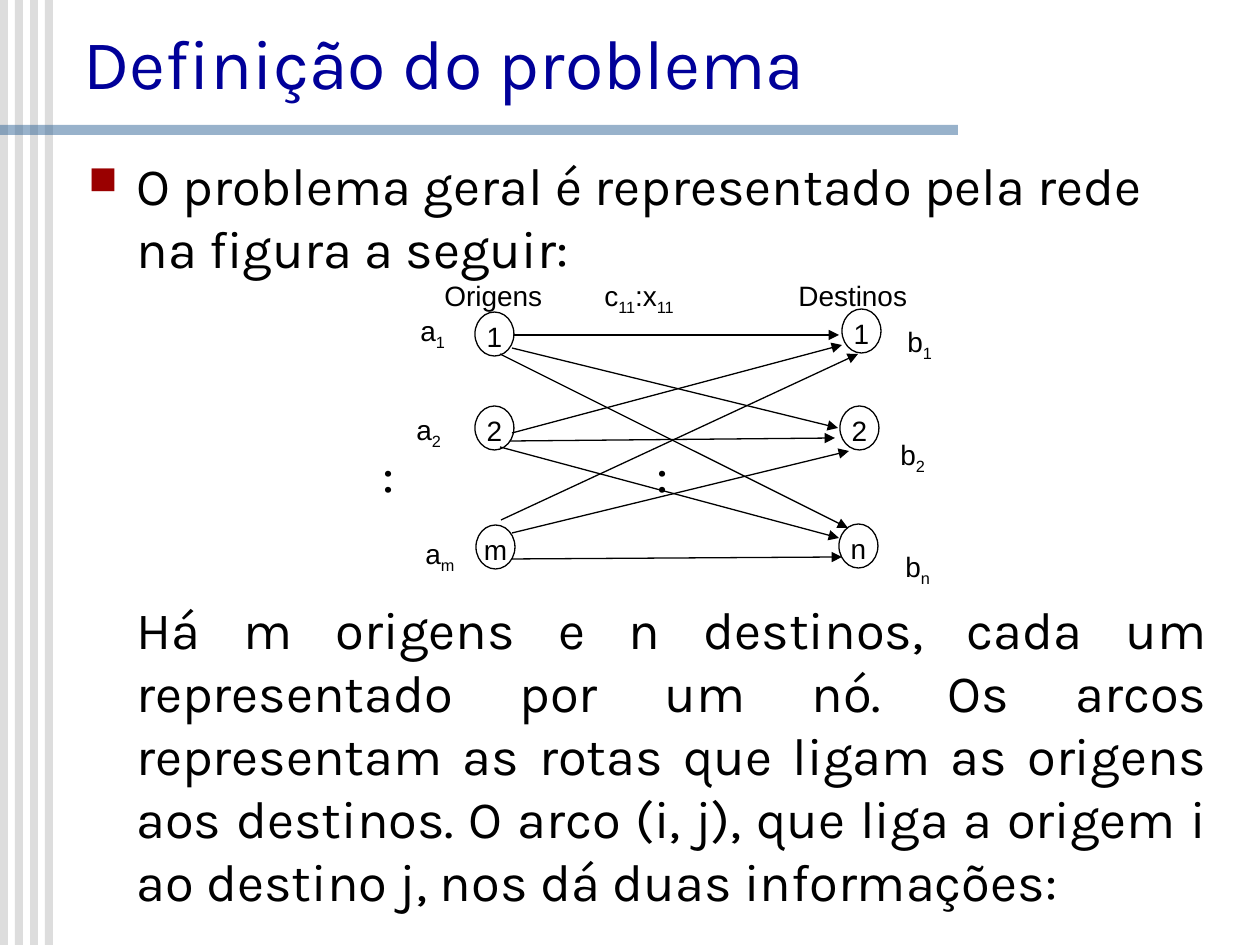
from dataclasses import dataclass

from lxml.etree import SubElement
from pptx import Presentation
from pptx.dml.color import RGBColor as RGB
from pptx.enum.shapes import MSO_CONNECTOR as CONN, MSO_SHAPE as SHAPE
from pptx.enum.text import MSO_ANCHOR as ANCHOR, PP_ALIGN as ALIGN
from pptx.oxml.ns import qn
from pptx.util import Emu, Pt

SCALE = 914400 / 126


@dataclass(frozen=True)
class Theme:
    heading: str = "Karla"
    label: str = "Arial"
    title_pt: int = 40
    body_pt: int = 30
    label_pt: int = 16
    line_pt: float = 0.75
    title: RGB = RGB(0x00, 0x00, 0x99)
    ink: RGB = RGB(0x00, 0x00, 0x00)
    paper: RGB = RGB(0xFF, 0xFF, 0xFF)
    stripe: RGB = RGB(0xDD, 0xDD, 0xDD)
    bar: RGB = RGB(0x33, 0x66, 0x99)
    bullet: str = "9A0000"


T = Theme()


@dataclass(frozen=True)
class Box:
    x: int
    y: int
    w: int
    h: int


@dataclass(frozen=True)
class Node:
    x: int
    y: int
    text: str


@dataclass(frozen=True)
class Arc:
    x1: int
    y1: int
    x2: int
    y2: int


@dataclass(frozen=True)
class Label:
    x: int
    y: int
    texts: tuple[str, ...]


TITLE_FONT = dict(name=T.heading, size=Pt(T.title_pt))
BODY_FONT = dict(name=T.heading, size=Pt(T.body_pt))
LABEL_FONT = dict(name=T.label, size=Pt(T.label_pt))

NODES = [
    Node(475, 312, "1"), Node(475, 406, "2"), Node(476, 525, "m"),
    Node(842, 309, "1"), Node(840, 406, "2"), Node(839, 524, "n"),
]
ARCS = [
    Arc(514, 335, 839, 335), Arc(512, 348, 838, 428), Arc(500, 354, 848, 528),
    Arc(512, 433, 842, 345), Arc(510, 441, 835, 438), Arc(500, 447, 839, 538),
    Arc(512, 533, 849, 451), Arc(501, 520, 858, 354), Arc(512, 559, 842, 557),
]
LABELS = [
    Label(432, 272, ("Origens",)), Label(592, 272, ("c", "11", ":x", "11")),
    Label(786, 272, ("Destinos",)),
    Label(408, 307, ("a", "1")), Label(404, 406, ("a", "2")), Label(413, 530, ("a", "m")),
    Label(895, 318, ("b", "1")), Label(888, 431, ("b", "2")), Label(893, 543, ("b", "n")),
]
COLONS = [Box(370, 436, 60, 76), Box(644, 436, 60, 76)]
INTRO = "O problema geral é representado pela rede na figura a seguir:"
DETAIL = (
    "Há m origens e n destinos, cada um representado por um nó. "
    "Os arcos representam as rotas que ligam as origens aos destinos. "
    "O arco (i, j), que liga a origem i ao destino j, nos dá duas informações:"
)


def px(n: int) -> Emu:
    return Emu(round(n * SCALE))


def apply(obj, values: dict) -> None:
    for name, value in values.items():
        setattr(obj, name, value)


def place(b: Box) -> tuple[Emu, ...]:
    return px(b.x), px(b.y), px(b.w), px(b.h)


def write(p, texts: tuple[str, ...], font: dict, color: RGB = T.ink) -> None:
    for i, text in enumerate(texts):
        r = p.add_run()
        r.text = text
        apply(r.font, font)
        r.font.color.rgb = color
        if i % 2:
            r._r.get_or_add_rPr().set("baseline", "-25000")


def add_text(s, b: Box, texts: tuple[str, ...], font: dict, color: RGB = T.ink,
             anchor=ANCHOR.TOP, align=ALIGN.LEFT):
    tf = s.shapes.add_textbox(*place(b)).text_frame
    apply(tf, dict(word_wrap=True, vertical_anchor=anchor))
    p = tf.paragraphs[0]
    p.alignment = align
    write(p, texts, font, color)
    return p


def indent(p, left: int, first: int) -> None:
    pPr = p._p.get_or_add_pPr()
    pPr.set("marL", str(px(left)))
    pPr.set("indent", str(px(first)))


def add_bullet(p) -> None:
    pPr = p._p.get_or_add_pPr()
    SubElement(SubElement(pPr, qn("a:buClr")), qn("a:srgbClr"), val=T.bullet)
    SubElement(pPr, qn("a:buSzPct"), val="75000")
    SubElement(pPr, qn("a:buChar"), char="■")


def add_rect(s, b: Box, color: RGB):
    sp = s.shapes.add_shape(SHAPE.RECTANGLE, *place(b))
    sp.shadow.inherit = False
    sp.fill.solid()
    sp.fill.fore_color.rgb = color
    sp.line.fill.background()
    return sp


def add_node(s, n: Node) -> None:
    sp = s.shapes.add_shape(SHAPE.OVAL, *place(Box(n.x, n.y, 39, 44)))
    sp.shadow.inherit = False
    sp.fill.solid()
    sp.fill.fore_color.rgb = T.paper
    sp.line.color.rgb = T.ink
    sp.line.width = Pt(T.line_pt)
    tf = sp.text_frame
    apply(tf, dict(word_wrap=False, vertical_anchor=ANCHOR.MIDDLE, margin_left=0,
                   margin_right=0, margin_top=px(4), margin_bottom=0))
    p = tf.paragraphs[0]
    p.alignment = ALIGN.CENTER
    write(p, (n.text,), LABEL_FONT)


def add_arc(s, a: Arc) -> None:
    c = s.shapes.add_connector(CONN.STRAIGHT, px(a.x1), px(a.y1), px(a.x2), px(a.y2))
    c.line.color.rgb = T.ink
    c.line.width = Pt(T.line_pt)
    SubElement(c.line._get_or_add_ln(), qn("a:tailEnd"), type="triangle")
    SubElement(c._element.spPr, qn("a:effectLst"))


def add_label(s, t: Label) -> None:
    width = 26 + 18 * sum(map(len, t.texts))
    add_text(s, Box(t.x, t.y, width, 52), t.texts, LABEL_FONT)


def main() -> None:
    prs = Presentation()
    apply(prs, dict(slide_width=px(1260), slide_height=px(945)))
    s = prs.slides.add_slide(prs.slide_layouts[6])

    for i in range(4):
        add_rect(s, Box(15 * i, 0, 8, 945), T.stripe)
    bar = add_rect(s, Box(0, 125, 958, 10), T.bar)
    SubElement(bar._element.spPr.find(f".//{qn('a:srgbClr')}"), qn("a:alpha"), val="50000")

    add_text(s, Box(71, 13, 1125, 97), ("Definição do problema",), TITLE_FONT, T.title,
             anchor=ANCHOR.BOTTOM)
    intro = add_text(s, Box(76, 147, 1144, 140), (INTRO,), BODY_FONT)
    indent(intro, 48, -48)
    add_bullet(intro)
    for b in COLONS:
        add_text(s, b, (":",), BODY_FONT)
    detail = add_text(s, Box(76, 591, 1144, 326), (DETAIL,), BODY_FONT, align=ALIGN.JUSTIFY)
    indent(detail, 48, 0)

    for n in NODES:
        add_node(s, n)
    for a in ARCS:
        add_arc(s, a)
    for t in LABELS:
        add_label(s, t)

    prs.save("out.pptx")


if __name__ == "__main__":
    main()
